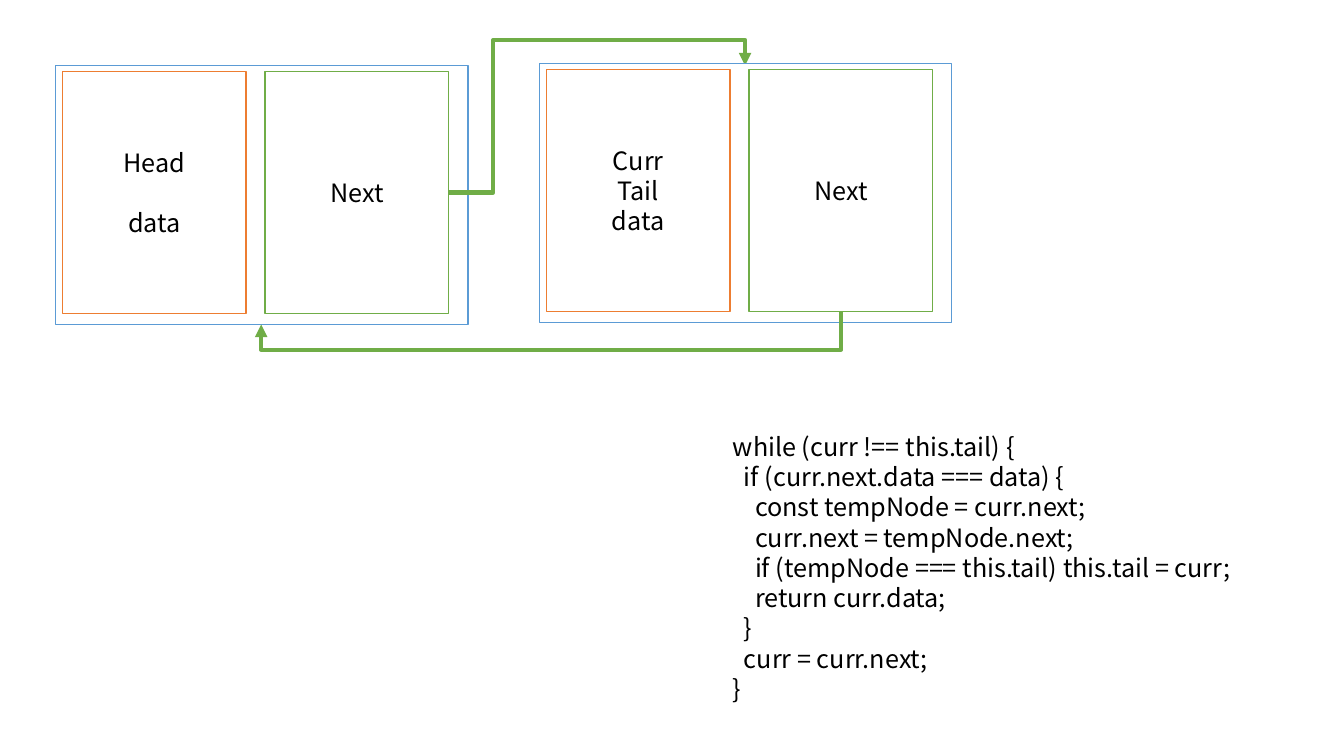
from dataclasses import dataclass

from lxml import etree
from pptx import Presentation
from pptx import util as u
from pptx.dml.color import RGBColor
from pptx.enum import shapes, text
from pptx.oxml import ns


@dataclass
class Theme:
    font: str = "Noto Sans CJK KR"
    size: float = 18
    pitch: float = 21.6
    ink: str = "000000"
    paper: str = "FFFFFF"
    blue: str = "5B9BD5"
    orange: str = "ED7D31"
    green: str = "70AD47"
    thin: float = 1
    thick: float = 3


class Board:
    def __init__(self, slide, theme):
        self.slide = slide
        self.theme = theme

    def style(self, para, words, align):
        para.text = words
        para.alignment = align
        para.line_spacing = u.Pt(self.theme.pitch)
        para.font.name = self.theme.font
        para.font.size = u.Pt(self.theme.size)
        para.font.color.rgb = RGBColor.from_string(self.theme.ink)

    def lines(self, frame, rows, align):
        """Fill a frame with one paragraph per row and return them."""
        for row in rows[1:]:
            frame.add_paragraph()
        for para, words in zip(frame.paragraphs, rows):
            self.style(para, words, align)
        return frame.paragraphs

    def box(self, group, left, top, width, height, color, rows=()):
        shape = group.shapes.add_shape(
            shapes.MSO_SHAPE.RECTANGLE,
            *map(u.Inches, (left, top, width, height)))
        shape.shadow.inherit = False
        shape.fill.solid()
        shape.fill.fore_color.rgb = RGBColor.from_string(self.theme.paper)
        shape.line.color.rgb = RGBColor.from_string(color)
        shape.line.width = u.Pt(self.theme.thin)
        frame = shape.text_frame
        frame.vertical_anchor = text.MSO_ANCHOR.MIDDLE
        return self.lines(frame, rows, text.PP_ALIGN.CENTER) if rows else ()

    def node(self, left, top, rows):
        """Draw a list node: a frame around a data cell and a next cell."""
        group = self.slide.shapes.add_group_shape()
        self.box(group, left, top, 4.09, 2.57, self.theme.blue)
        cell = (top + 0.06, 1.82, 2.4)
        data = self.box(group, left + 0.07, *cell, self.theme.orange, rows)
        self.box(group, left + 2.08, *cell, self.theme.green, ["Next"])
        return data

    def code(self, left, top, width, height, rows):
        """Write (level, words) rows, each level indented one step."""
        frame = self.slide.shapes.add_textbox(
            *map(u.Inches, (left, top, width, height))).text_frame
        frame.word_wrap = False
        words = [row[1] for row in rows]
        paras = self.lines(frame, words, text.PP_ALIGN.LEFT)
        for para, (level, _) in zip(paras, rows):
            props = para._p.get_or_add_pPr()
            props.set("marL", str(u.Inches(0.11 * (level + 1))))
            props.set("indent", "0")

    def elbow(self, start, end, preset, bends, turn=0):
        """Draw a bent arrow; bends are fractions of its frame."""
        (ax, ay), (bx, by) = start, end
        if turn:
            midx, midy = (ax + bx) / 2, (ay + by) / 2
            wide, high = abs(by - ay) / 2, abs(bx - ax) / 2
            ax, bx = midx - wide, midx + wide
            ay, by = midy - high, midy + high
        link = self.slide.shapes.add_connector(
            shapes.MSO_CONNECTOR.ELBOW, *map(u.Inches, (ax, ay, bx, by)))
        link.line.color.rgb = RGBColor.from_string(self.theme.green)
        link.line.width = u.Pt(self.theme.thick)
        props = link._element.spPr
        if turn:
            props.find(ns.qn("a:xfrm")).set("rot", str(turn * 60000))
        geom = props.find(ns.qn("a:prstGeom"))
        geom.set("prst", preset)
        guides = geom.find(ns.qn("a:avLst"))
        for num, bend in enumerate(bends, 1):
            etree.SubElement(guides, ns.qn("a:gd"), name=f"adj{num}",
                             fmla=f"val {round(bend * 100000)}")
        etree.SubElement(props.find(ns.qn("a:ln")), ns.qn("a:tailEnd"),
                         type="triangle")
        etree.SubElement(props, ns.qn("a:effectLst"))


deck = Presentation()
deck.slide_width, deck.slide_height = u.Inches(13.33), u.Inches(7.5)
theme = Theme()
board = Board(deck.slides.add_slide(deck.slide_layouts[6]), theme)

# Head node, with a one-line gap above its data
head = board.node(0.55, 0.65, ["Head", "data"])
head[1].space_before = u.Pt(theme.pitch)

# Removal loop
board.code(7.06, 4.23, 5.62, 2.83, [
    (0, "while (curr !== this.tail) {"),
    (1, "if (curr.next.data === data) {"),
    (2, "const tempNode = curr.next;"),
    (2, "curr.next = tempNode.next;"),
    (2, "if (tempNode === this.tail) this.tail = curr;"),
    (2, "return curr.data;"),
    (1, "}"),
    (1, "curr = curr.next;"),
    (0, "}"),
])

# Tail node and the links that close the circle
board.elbow((4.45, 1.91), (7.39, 0.65), "bentConnector4", [0.15, 1.2])
board.node(5.35, 0.63, ["Curr", "Tail", "data"])
board.elbow((8.34, 3.09), (2.59, 3.22), "bentConnector3", [2.92], turn=90)

deck.save("out.pptx")
